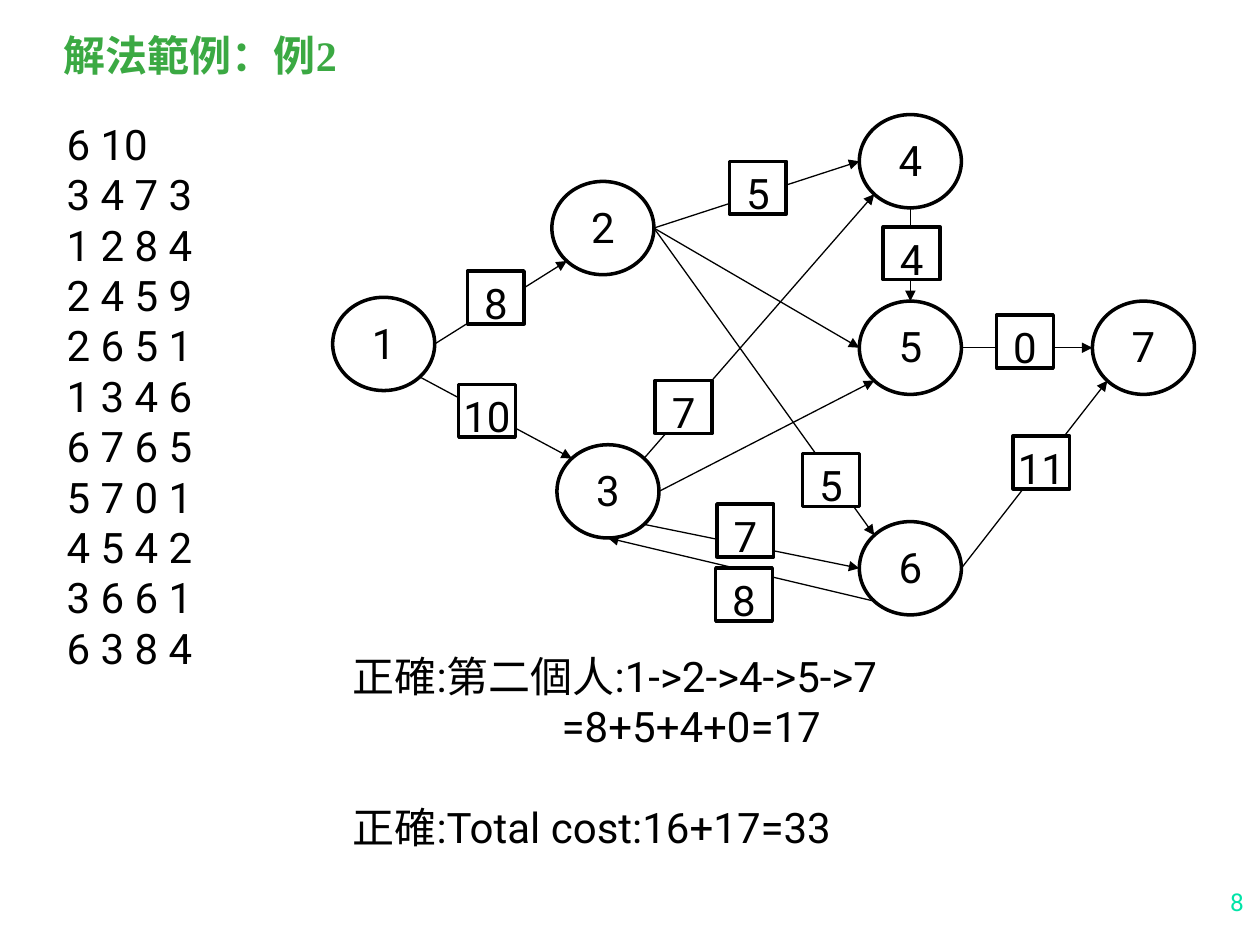
from dataclasses import dataclass
from math import cos, radians, sin

from lxml.etree import SubElement
from pptx import Presentation
from pptx.dml.color import RGBColor
from pptx.enum.shapes import MSO_CONNECTOR, MSO_SHAPE
from pptx.enum.text import MSO_ANCHOR, PP_ALIGN
from pptx.oxml.ns import qn
from pptx.util import Inches, Pt


@dataclass(frozen=True)
class Theme:
    ink: RGBColor = RGBColor(0x00, 0x00, 0x00)
    paper: RGBColor = RGBColor(0xFF, 0xFF, 0xFF)
    title: RGBColor = RGBColor(0x3B, 0xA9, 0x43)
    number: RGBColor = RGBColor(0x00, 0xE4, 0xA8)
    body_font: str = "Roboto"
    title_font: str = "Times New Roman"
    body_size: Pt = Pt(24)
    number_size: Pt = Pt(14)
    outline: Pt = Pt(2)
    edge: Pt = Pt(0.75)


THEME = Theme()
SLIDE_WIDTH, SLIDE_HEIGHT = Inches(10), Inches(7.5)
COLUMNS, ROWS = 100, 75

NODE_SIZE = (8.1, 7.4)
WEIGHT_SIZE = (4.5, 4.2)
NODES = {
    "1": (26.4, 23.6),
    "2": (43.8, 14.4),
    "3": (44.2, 35.3),
    "4": (68.2, 9.1),
    "5": (68.2, 23.9),
    "6": (68.2, 41.4),
    "7": (86.7, 23.9),
}

# Clockwise angle of each docking site on a node's rim
ANGLES = {"right": 0, "lower right": 45, "bottom": 90, "lower left": 135,
          "left": 180, "upper left": 225, "top": 270, "upper right": 315}

# start, its site, end, its site, weight, column and row of the weight
EDGES = [
    ("1", "right", "2", "lower left", "8", (37.1, 21.5)),
    ("2", "right", "5", "left", None, None),
    ("1", "lower right", "3", "upper left", "10", (36.4, 30.5)),
    ("3", "right", "5", "lower left", None, None),
    ("3", "upper right", "4", "lower left", "7", (52, 30.2)),
    ("2", "right", "4", "left", "5", (57.9, 12.8)),
    ("2", "right", "6", "upper left", "5", (63.7, 36)),
    ("6", "right", "7", "lower left", "11", (80.4, 34.6)),
    ("5", "right", "7", "left", "0", (79.1, 25)),
    ("4", "bottom", "5", "top", "4", (70.1, 18)),
    ("3", "lower right", "6", "left", "7", (56.9, 40)),
    ("6", "lower left", "3", "bottom", "8", (56.8, 45.1)),
]

INPUT_LINES = ["6 10", "3 4 7 3", "1 2 8 4", "2 4 5 9", "2 6 5 1", "1 3 4 6",
               "6 7 6 5", "5 7 0 1", "4 5 4 2", "3 6 6 1", "6 3 8 4"]
ANSWER_LINES = ["正確:第二個人:1->2->4->5->7", "=8+5+4+0=17",
                "正確:Total cost:16+17=33"]


def across(columns):
    return round(SLIDE_WIDTH * columns / COLUMNS)


def down(rows):
    return round(SLIDE_HEIGHT * rows / ROWS)


def place(position, extent):
    """Left, top, width and height of a grid area."""
    return (across(position[0]), down(position[1]),
            across(extent[0]), down(extent[1]))


def set_font(paragraph, color=THEME.ink, name=THEME.body_font,
             size=THEME.body_size, bold=False):
    font = paragraph.font
    font.name, font.size, font.bold = name, size, bold
    font.color.rgb = color


def add_text(slide, position, extent, lines, align=PP_ALIGN.LEFT,
             anchor=MSO_ANCHOR.TOP, **font):
    frame = slide.shapes.add_textbox(*place(position, extent)).text_frame
    frame.word_wrap = True
    frame.vertical_anchor = anchor
    frame.text = "\n".join(lines)
    for paragraph in frame.paragraphs:
        paragraph.alignment = align
        set_font(paragraph, **font)
    return frame.paragraphs


def add_labelled_shape(slide, preset, position, extent, label):
    shape = slide.shapes.add_shape(preset, *place(position, extent))
    shape.shadow.inherit = False
    shape.fill.solid()
    shape.fill.fore_color.rgb = THEME.paper
    shape.line.color.rgb = THEME.ink
    shape.line.width = THEME.outline
    frame = shape.text_frame
    frame.word_wrap = False
    frame.vertical_anchor = MSO_ANCHOR.TOP
    frame.text = label
    paragraph = frame.paragraphs[0]
    paragraph.alignment = PP_ALIGN.CENTER
    set_font(paragraph)


def docking_point(node, site):
    angle = radians(ANGLES[site])
    (left, top), (width, height) = NODES[node], NODE_SIZE
    return (across(left + width / 2 * (1 + cos(angle))),
            down(top + height / 2 * (1 + sin(angle))))


def add_arrow(slide, start, end):
    arrow = slide.shapes.add_connector(MSO_CONNECTOR.STRAIGHT, *start, *end)
    arrow.line.color.rgb = THEME.ink
    arrow.line.width = THEME.edge
    properties = arrow._element.spPr
    SubElement(properties.find(qn("a:ln")), qn("a:tailEnd"), type="triangle")
    SubElement(properties, qn("a:effectLst"))


def add_graph(slide):
    for label, position in NODES.items():
        add_labelled_shape(slide, MSO_SHAPE.OVAL, position, NODE_SIZE, label)
    for start, start_site, end, end_site, weight, position in EDGES:
        add_arrow(slide, docking_point(start, start_site),
                  docking_point(end, end_site))
        if weight is not None:
            add_labelled_shape(slide, MSO_SHAPE.RECTANGLE, position,
                               WEIGHT_SIZE, weight)


def add_answer(slide):
    _, total, cost = add_text(slide, (27, 51.1), (68.4, 17), ANSWER_LINES)
    total._p.get_or_add_pPr().set("marL", str(across(16.6)))
    cost.space_before = Pt(28.8)


def main():
    presentation = Presentation()
    presentation.slide_width, presentation.slide_height = SLIDE_WIDTH, SLIDE_HEIGHT
    slide = presentation.slides.add_slide(presentation.slide_layouts[6])

    add_text(slide, (90.2, 68.2), (9.5, 5), ["8"], PP_ALIGN.RIGHT,
             MSO_ANCHOR.BOTTOM, color=THEME.number, size=THEME.number_size)
    add_graph(slide)
    add_text(slide, (4.3, 8.9), (20.5, 45), INPUT_LINES)
    add_answer(slide)
    title, = add_text(slide, (4.1, 2.3), (24.7, 4.7), ["解法範例：例2"],
                      color=THEME.title, name=THEME.title_font, bold=True)
    title.line_spacing = 0.9

    presentation.save("out.pptx")


if __name__ == "__main__":
    main()
